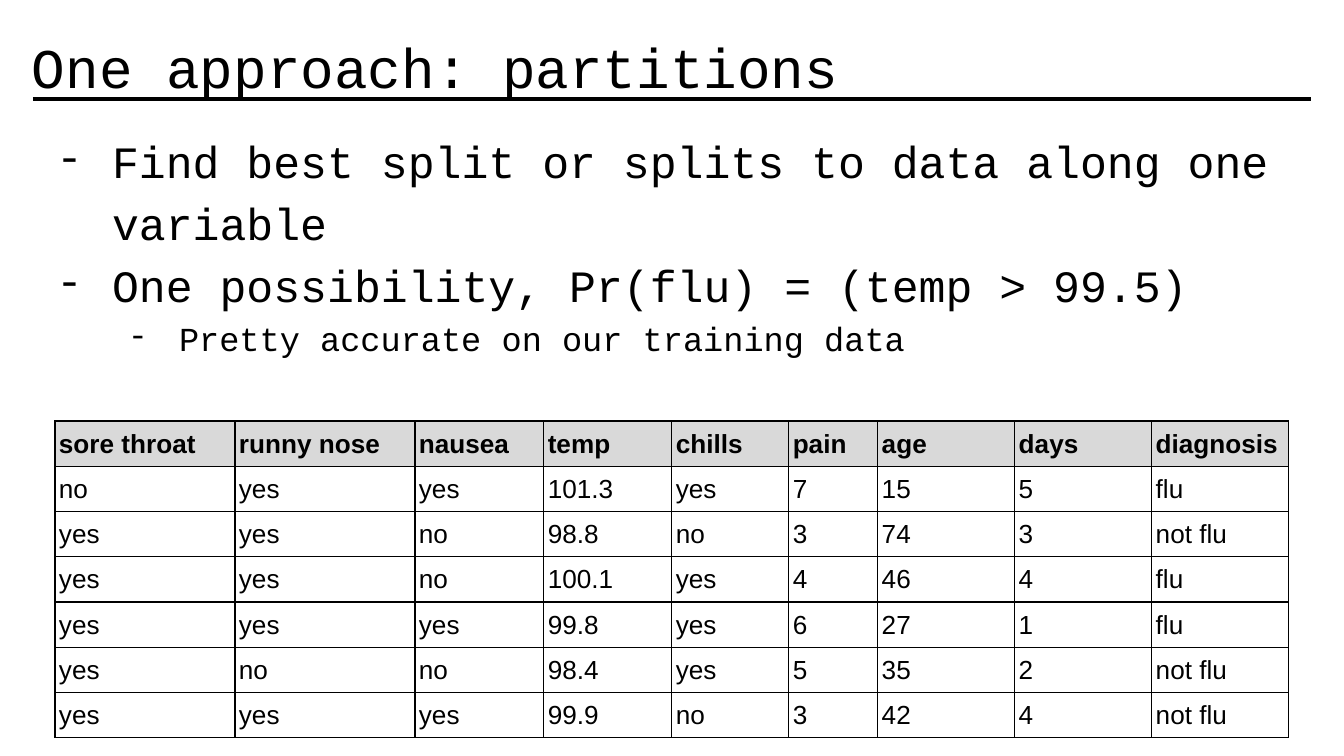
from lxml import etree
from pptx import Presentation
from pptx.dml.color import RGBColor
from pptx.enum.shapes import MSO_CONNECTOR, MSO_SHAPE
from pptx.enum.text import MSO_ANCHOR, PP_ALIGN
from pptx.oxml import parse_xml
from pptx.oxml.ns import nsdecls, qn
from pptx.util import Emu, Pt

STRAIGHT = MSO_CONNECTOR.STRAIGHT
RECTANGLE = MSO_SHAPE.RECTANGLE
TOP, BOTTOM = MSO_ANCHOR.TOP, MSO_ANCHOR.BOTTOM
LEFT = PP_ALIGN.LEFT

SLIDE_W, SLIDE_H = 1344, 756
EMU_PER_PX = 9144000 / SLIDE_W
COLORS = {"ink": "000000", "paper": "FFFFFF", "header": "D9D9D9"}
MONO, SANS = "Courier New", "Arial"
LINE_SPACING = 1.15


def px(length):
    return Emu(round(length * EMU_PER_PX))


def write(paragraph, text, **font_format):
    """Add a run of ink-coloured text with the given font attributes."""
    run = paragraph.add_run()
    run.text = text
    for attribute, value in font_format.items():
        setattr(run.font, attribute, value)
    run.font.color.rgb = RGBColor.from_string(COLORS["ink"])


prs = Presentation()
prs.slide_width, prs.slide_height = px(SLIDE_W), px(SLIDE_H)
slide = prs.slides.add_slide(prs.slide_layouts[6])

# Rule under the title
rule = slide.shapes.add_connector(STRAIGHT, px(33), px(99), px(1311), px(99))
rule.line.width = Pt(2.25)
rule.line.color.rgb = RGBColor.from_string(COLORS["ink"])
etree.SubElement(rule._element.spPr, qn("a:effectLst"))

# Title and the panel of points
title = slide.shapes.add_textbox(px(19), px(28), px(1306), px(85))
points_panel = slide.shapes.add_shape(RECTANGLE, px(32), px(113), px(1278), px(625))
points_panel.shadow.inherit = False
points_panel.line.fill.background()
points_panel.fill.solid()
points_panel.fill.fore_color.rgb = RGBColor.from_string(COLORS["paper"])
paper = points_panel._element.spPr.find(qn("a:solidFill"))[0]
etree.SubElement(paper, qn("a:alpha"), val="60000")

for holder, anchor in ((title, BOTTOM), (points_panel, TOP)):
    frame_format = {"word_wrap": True, "vertical_anchor": anchor}
    for side in ("left", "top", "right", "bottom"):
        frame_format[f"margin_{side}"] = px(13)
    for attribute, value in frame_format.items():
        setattr(holder.text_frame, attribute, value)

write(title.text_frame.paragraphs[0], "One approach: partitions", name=MONO, size=Pt(30))

# Text, level, left margin, hanging indent, size
points = [
    ("Find best split or splits to data along one variable", 0, 67, 56, 24),
    ("One possibility, Pr(flu) = (temp > 99.5)", 0, 67, 56, 24),
    ("Pretty accurate on our training data", 1, 134, 51, 18),
]
for index, (text, level, margin, hanging, size) in enumerate(points):
    frame = points_panel.text_frame
    point = frame.add_paragraph() if index else frame.paragraphs[0]
    properties = point._p.get_or_add_pPr()
    properties.set("marL", str(px(margin)))
    properties.set("indent", str(px(-hanging)))
    for bullet_part in (
        f'<a:buClr {nsdecls("a")}><a:srgbClr val="{COLORS["ink"]}"/></a:buClr>',
        f'<a:buFont {nsdecls("a")} typeface="{MONO}"/>',
        f'<a:buChar {nsdecls("a")} char="-"/>',
    ):
        properties.append(parse_xml(bullet_part))
    point.level = level
    point.alignment = LEFT
    point.line_spacing = LINE_SPACING
    write(point, text, name=MONO, size=Pt(size))

# Table of training data
patients = [
    ("sore throat", "runny nose", "nausea", "temp", "chills", "pain", "age", "days", "diagnosis"),
    ("no", "yes", "yes", "101.3", "yes", "7", "15", "5", "flu"),
    ("yes", "yes", "no", "98.8", "no", "3", "74", "3", "not flu"),
    ("yes", "yes", "no", "100.1", "yes", "4", "46", "4", "flu"),
    ("yes", "yes", "yes", "99.8", "yes", "6", "27", "1", "flu"),
    ("yes", "no", "no", "98.4", "yes", "5", "35", "2", "not flu"),
    ("yes", "yes", "yes", "99.9", "no", "3", "42", "4", "not flu"),
]
column_widths = [180, 180, 129, 128, 117, 89, 137, 137, 137]
TABLE_H = 317
table = slide.shapes.add_table(
    len(patients), len(column_widths), px(55), px(421), px(sum(column_widths)), px(TABLE_H)
).table
table.horz_banding = False
for column, width in zip(table.columns, column_widths):
    column.width = px(width)
for row in table.rows:
    row.height = px(TABLE_H / len(patients))

for row_index, patient in enumerate(patients):
    is_header = row_index == 0
    for column_index, value in enumerate(patient):
        cell = table.cell(row_index, column_index)
        for side in ("left", "top", "right", "bottom"):
            setattr(cell, f"margin_{side}", px(4))
        cell_properties = cell._tc.get_or_add_tcPr()
        for edge in ("lnL", "lnR", "lnT", "lnB"):
            cell_properties.append(parse_xml(
                f'<a:{edge} {nsdecls("a")} w="{Pt(0.75)}"><a:solidFill>'
                f'<a:srgbClr val="{COLORS["ink"]}"/></a:solidFill></a:{edge}>'
            ))
        if is_header:
            cell.fill.solid()
            cell.fill.fore_color.rgb = RGBColor.from_string(COLORS["header"])
        else:
            cell.fill.background()
        paragraph = cell.text_frame.paragraphs[0]
        paragraph.line_spacing = LINE_SPACING
        write(paragraph, value, name=SANS, size=Pt(14), bold=is_header)

prs.save("out.pptx")
